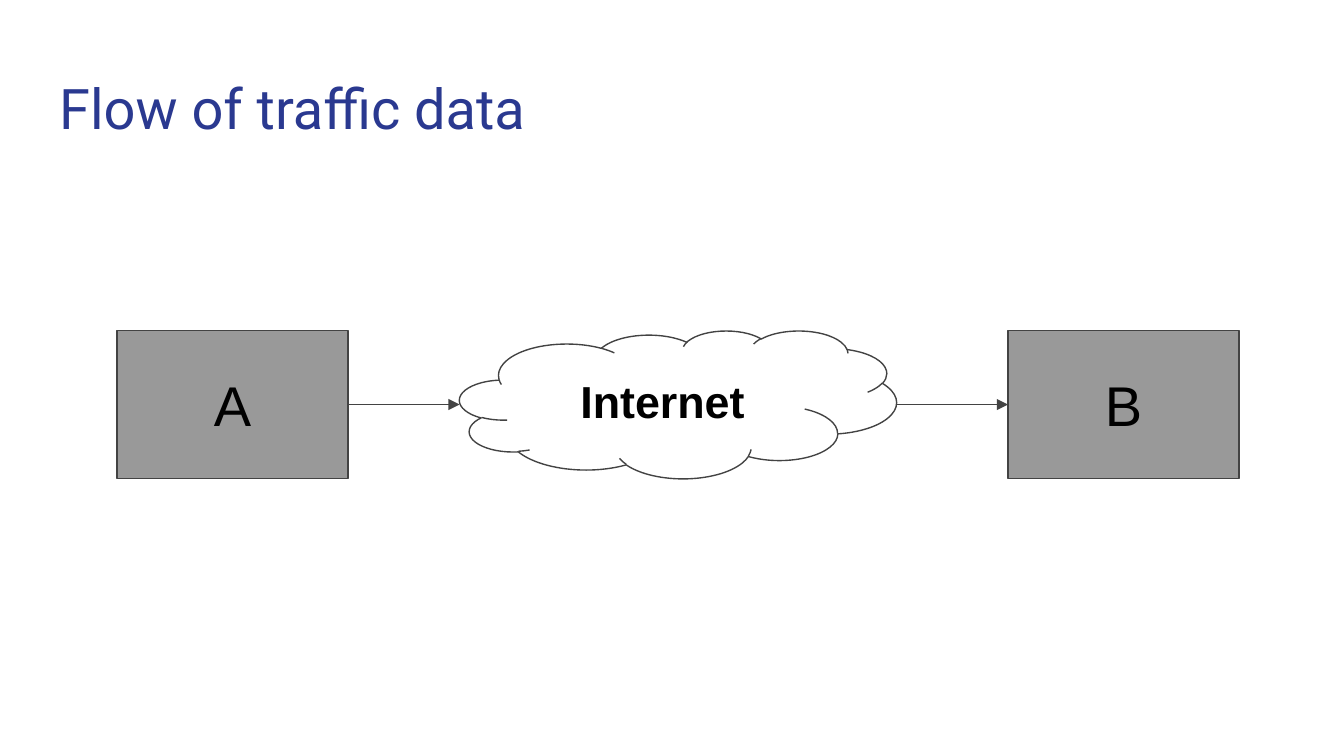
from itertools import pairwise

from lxml.etree import SubElement
from pptx import Presentation
from pptx.dml.color import RGBColor
from pptx.enum.shapes import MSO_CONNECTOR as Connector, MSO_SHAPE as Shape
from pptx.enum.text import MSO_ANCHOR as Anchor, PP_ALIGN as Align
from pptx.oxml.ns import qn
from pptx.util import Inches, Pt

COLORS = {"title": "2A3990", "host": "999999", "network": "FFFFFF",
          "line": "434343", "text": "000000"}
TITLE = "Flow of traffic data"
NODES = [
    ("A", Shape.RECTANGLE, "host", 1.72, {"size": Pt(30), "bold": False}),
    ("Internet", Shape.CLOUD, "network", 3.25, {"size": Pt(24), "bold": True}),
    ("B", Shape.RECTANGLE, "host", 1.72, {"size": Pt(30), "bold": False}),
]
LEFT, TOP, HEIGHT, GAP = 0.87, 2.46, 1.1, 0.83


def color(name):
    return RGBColor.from_string(COLORS[name])


def write(shape, text, ink, align, anchor, font):
    frame = shape.text_frame
    margins = dict.fromkeys(
        ("margin_left", "margin_top", "margin_right", "margin_bottom"), Inches(0.1))
    for name, value in {**margins, "word_wrap": True, "vertical_anchor": anchor}.items():
        setattr(frame, name, value)
    para = frame.paragraphs[0]
    para.alignment = align
    span = para.add_run()
    span.text = text
    for name, value in font.items():
        setattr(span.font, name, value)
    span.font.color.rgb = color(ink)


def outline(shape):
    shape.line.color.rgb = color("line")
    shape.line.width = Pt(0.75)


def add_node(page, left, label, kind, fill, width, font):
    node = page.shapes.add_shape(
        kind, Inches(left), Inches(TOP), Inches(width), Inches(HEIGHT))
    node.shadow.inherit = False
    node.fill.solid()
    node.fill.fore_color.rgb = color(fill)
    outline(node)
    write(node, label, "text", Align.CENTER, Anchor.MIDDLE, {"name": "Arial", **font})
    return node


def add_arrow(page, source, target):
    middle = source.top + source.height // 2
    arrow = page.shapes.add_connector(
        Connector.STRAIGHT, source.left + source.width, middle, target.left, middle)
    outline(arrow)
    properties = arrow._element.spPr
    SubElement(properties.get_or_add_ln(), qn("a:tailEnd"), type="triangle")
    SubElement(properties, qn("a:effectLst"))


def main():
    deck = Presentation()
    deck.slide_width = Inches(10)
    deck.slide_height = deck.slide_width * 9 // 16
    page = deck.slides.add_slide(deck.slide_layouts[5])

    title = page.shapes.title
    box = {"left": 0.34, "top": 0.45, "width": 9.32, "height": 0.66}
    for name, value in box.items():
        setattr(title, name, Inches(value))
    write(title, TITLE, "title", Align.LEFT, Anchor.TOP,
          {"name": "Roboto", "size": Pt(30)})

    nodes, left = [], LEFT
    for label, kind, fill, width, font in NODES:
        nodes.append(add_node(page, left, label, kind, fill, width, font))
        left += width + GAP
    for source, target in pairwise(nodes):
        add_arrow(page, source, target)

    deck.save("out.pptx")


if __name__ == "__main__":
    main()
